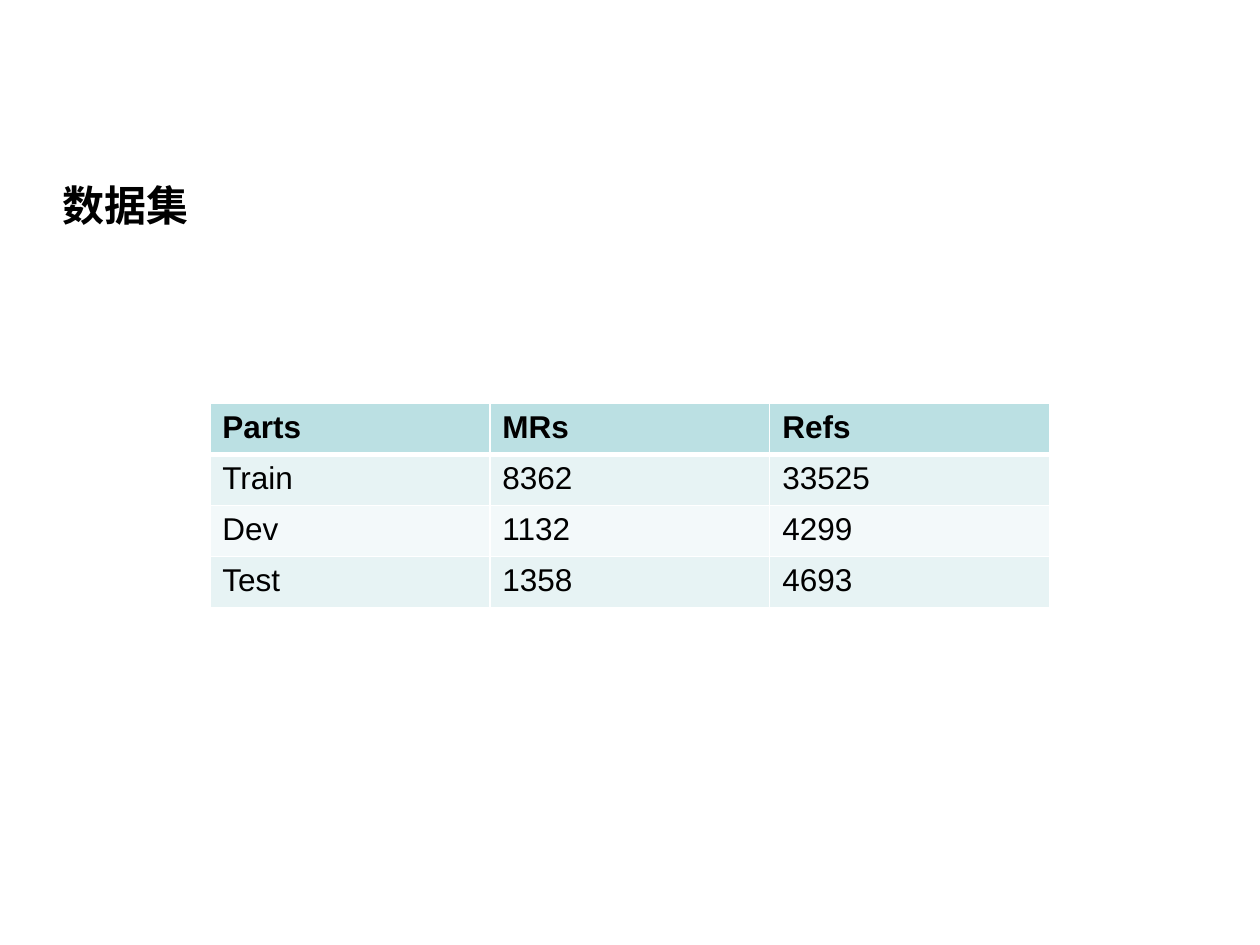
"""Build the dataset slide: a title and a table of corpus sizes."""
import pptx
import pptx.util
import pptx.dml.color
import pptx.enum.text
from lxml import etree
from pptx.oxml.ns import qn
from pptx.util import Cm, Pt

COLORS = {"text": "000000", "border": "FFFFFF", "header": "BBE0E3",
          "odd": "E7F3F4", "even": "F3F9FA"}
FONT = "Arial"
ROWS = [
    ("Parts", "MRs", "Refs"),
    ("Train", "8362", "33525"),
    ("Dev", "1132", "4299"),
    ("Test", "1358", "4693"),
]


def rgb(name):
    """Return a named colour."""
    return pptx.dml.color.RGBColor.from_string(COLORS[name])


def set_font(p, size, bold):
    """Format a whole paragraph."""
    p.font.name = FONT
    p.font.size = Pt(size)
    p.font.bold = bold
    p.font.color.rgb = rgb("text")


def set_borders(cell, widths):
    """Draw cell borders from a dict of side to width in points."""
    tcPr = cell._tc.get_or_add_tcPr()
    for side, width in widths.items():
        ln = etree.SubElement(tcPr, qn(f"a:ln{side}"), w=str(Pt(width)))
        fill = etree.SubElement(ln, qn("a:solidFill"))
        etree.SubElement(fill, qn("a:srgbClr"), val=COLORS["border"])


def add_title(s, text):
    """Place and format the title placeholder."""
    sp = s.shapes.title
    sp.left, sp.top, sp.width, sp.height = Cm(1), Cm(3.5), Cm(12.3), Cm(1.28)
    tf = sp.text_frame
    tf.text = text
    tf.word_wrap = True
    tf.auto_size = pptx.enum.text.MSO_AUTO_SIZE.NONE
    tf.vertical_anchor = pptx.enum.text.MSO_ANCHOR.TOP
    p = tf.paragraphs[0]
    p.alignment = pptx.enum.text.PP_ALIGN.LEFT
    set_font(p, 24, True)


def add_data_table(s, rows):
    """Add a table with a header row and banded body rows."""
    table = s.shapes.add_table(len(rows), len(rows[0]), Cm(4.23), Cm(8.13),
                               Cm(16.93), Cm(4.12)).table
    for i, row in enumerate(rows):
        band = "header" if i == 0 else "odd" if i % 2 else "even"
        borders = {"L": 1, "R": 1, "T": 3 if i == 1 else 1, "B": 3 if i == 0 else 1}
        for j, text in enumerate(row):
            cell = table.cell(i, j)
            cell.text = text
            set_font(cell.text_frame.paragraphs[0], 18, i == 0)
            set_borders(cell, borders)
            cell.fill.solid()
            cell.fill.fore_color.rgb = rgb(band)


def main():
    """Build and save the slide."""
    prs = pptx.Presentation()
    prs.slide_width, prs.slide_height = Cm(25.4), Cm(19.05)
    s = prs.slides.add_slide(prs.slide_layouts[5])
    add_title(s, "数据集")
    add_data_table(s, ROWS)
    prs.save("out.pptx")


if __name__ == "__main__":
    main()
